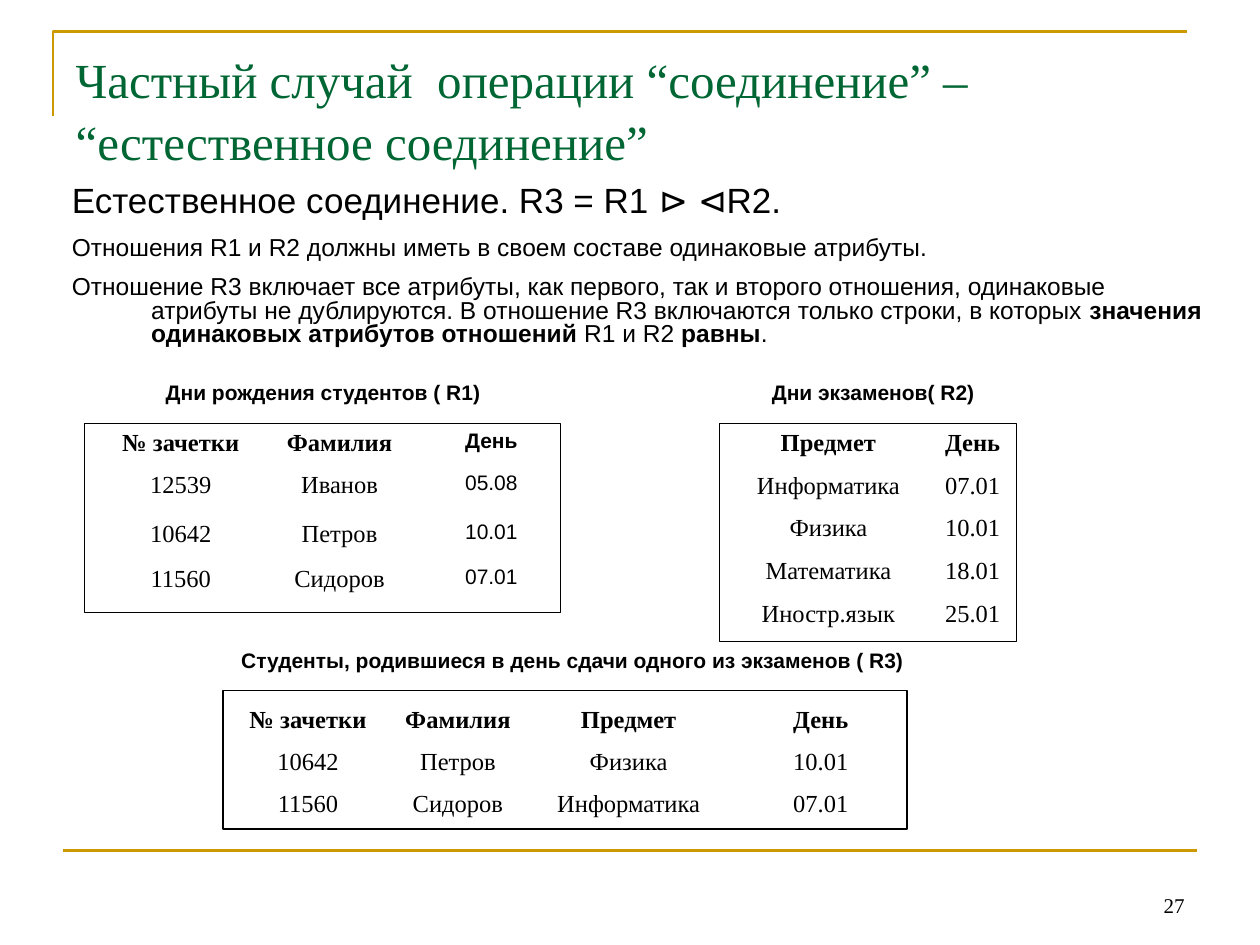
from lxml.etree import SubElement
from pptx import Presentation
from pptx.dml.color import RGBColor
from pptx.enum.shapes import MSO_CONNECTOR as Link, MSO_SHAPE as Shape
from pptx.enum.text import MSO_ANCHOR as Anchor, MSO_AUTO_SIZE as Fit, PP_ALIGN as Align
from pptx.oxml.ns import qn
from pptx.util import Inches, Pt

WIDE, HIGH = Inches(10), Inches(7.5)
GOLD, GREEN, BLACK = "CC9900", "006633", "000000"
SANS, SERIF = "Arial", "Times New Roman"

R1 = [["№ зачетки", "Фамилия", "День"],
      ["12539", "Иванов", "05.08"],
      ["10642", "Петров", "10.01"],
      ["11560", "Сидоров", "07.01"]]
R2 = [["Предмет", "День"],
      ["Информатика", "07.01"],
      ["Физика", "10.01"],
      ["Математика", "18.01"],
      ["Иностр.язык", "25.01"]]
R3 = [["№ зачетки", "Фамилия", "Предмет", "День"],
      ["10642", "Петров", "Физика", "10.01"],
      ["11560", "Сидоров", "Информатика", "07.01"]]

BODY = [
    (20, [("Естественное соединение. R3 = R1 ⊳ ⊲R2.", False)]),
    (14, [("Отношения R1 и R2 должны иметь в своем составе одинаковые атрибуты.", False)]),
    (14, [("Отношение R3 включает все атрибуты, как первого, так и второго отношения, "
           "одинаковые атрибуты не дублируются. В отношение R3 включаются только строки, "
           "в которых ", False),
          ("значения одинаковых атрибутов отношений ", True),
          ("R1 и R2 ", False), ("равны", True), (".", False)]),
]


def color(code):
    return RGBColor.from_string(code)


def across(share):
    """Percent of the slide's width."""
    return int(WIDE * share / 100)


def down(share):
    """Percent of the slide's height."""
    return int(HIGH * share / 100)


def area(x, y, w, h):
    return across(x), down(y), across(w), down(h)


def place(shape, spot):
    shape.left, shape.top, shape.width, shape.height = area(*spot)


def add_run(para, text, size, face, bold=False, code=BLACK):
    run = para.add_run()
    run.text = text
    font = run.font
    font.size, font.name, font.bold = Pt(size), face, bold
    font.color.rgb = color(code)


def stroke(line, code, width):
    line.color.rgb = color(code)
    line.width = Pt(width)


def add_rules(slide):
    """Draw the corner above the title and the line at the foot."""
    pen = slide.shapes.build_freeform(across(4.2), down(12.27))
    pen.add_line_segments([(across(4.2), down(3.33)), (across(94.2), down(3.33))], close=False)
    bend = pen.convert_to_shape()
    bend.fill.background()
    bend.shadow.inherit = False
    foot = slide.shapes.add_connector(Link.STRAIGHT, across(5), down(90), across(95), down(90))
    SubElement(foot.element.spPr, qn("a:effectLst"))
    for part in (bend, foot):
        stroke(part.line, GOLD, 1.5)


def fill_title(slide, text):
    title = slide.shapes.title
    place(title, (5, 4, 90.7, 12.4))
    frame = title.text_frame
    frame.auto_size, frame.vertical_anchor = Fit.NONE, Anchor.TOP
    frame.margin_top = Inches(0.07)
    para = frame.paragraphs[0]
    para.alignment, para.line_spacing = Align.LEFT, 1.05
    add_run(para, text, 28, SERIF, code=GREEN)


def fill_body(slide):
    body = slide.placeholders[1]
    place(body, (4.7, 18.8, 92.6, 20.93))
    frame = body.text_frame
    frame.auto_size, frame.vertical_anchor = Fit.NONE, Anchor.TOP
    frame.margin_top = Inches(0.07)
    for i, (size, runs) in enumerate(BODY):
        para = frame.add_paragraph() if i else frame.paragraphs[0]
        props = para._p.get_or_add_pPr()
        props.set("marL", str(Inches(0.63)))
        props.set("indent", str(-Inches(0.63)))
        SubElement(props, qn("a:buNone"))
        para.line_spacing = 0.8
        para.space_before = Pt(3.5 if i else 0)
        para.space_after = Pt(5.2 if i else 6.8)
        for text, bold in runs:
            add_run(para, text, size, SANS, bold)


def add_label(slide, spot, text, size=12, face=SANS, bold=True,
              align=Align.CENTER, anchor=Anchor.TOP):
    frame = slide.shapes.add_textbox(*area(*spot)).text_frame
    frame.word_wrap, frame.vertical_anchor = True, anchor
    para = frame.paragraphs[0]
    para.alignment = align
    add_run(para, text, size, face, bold)


def add_grid(slide, x, y, cols, rows, data, small=None):
    """Add a table; the column numbered small is set in 12 pt sans."""
    spot = area(x, y, sum(cols), sum(rows))
    table = slide.shapes.add_table(len(rows), len(cols), *spot).table
    table.first_row = table.horz_banding = False
    for col, share in zip(table.columns, cols):
        col.width = across(share)
    for r, (row, share) in enumerate(zip(table.rows, rows)):
        row.height = down(share)
        for c, cell in enumerate(row.cells):
            cell.fill.background()
            para = cell.text_frame.paragraphs[0]
            para.alignment = Align.CENTER
            size, face = (12, SANS) if c == small else (14, SERIF)
            add_run(para, data[r][c], size, face, bold=r == 0)


def add_frame(slide, spot):
    rect = slide.shapes.add_shape(Shape.RECTANGLE, *area(*spot))
    rect.shadow.inherit = False
    rect.fill.background()
    stroke(rect.line, BLACK, 0.75)


def main():
    deck = Presentation()
    deck.slide_width, deck.slide_height = WIDE, HIGH
    slide = deck.slides.add_slide(deck.slide_layouts[1])
    add_rules(slide)
    fill_title(slide, "Частный случай  операции “соединение” – “естественное соединение”")
    fill_body(slide)

    add_grid(slide, 8.3, 44.8, [12.1, 13.1, 11], [4.4, 5.2, 4.8, 4.67], R1, small=2)
    add_grid(slide, 57.9, 44.8, [15.7, 7.2], [4.53] * 5, R2)
    add_grid(slide, 18.5, 74.13, [11.9, 11.9, 15.2, 15.3], [4.43] * 3, R3)
    for spot in ((6.7, 44.8, 37.8, 20), (57.1, 44.8, 23.6, 23.07), (17.7, 73.07, 54.3, 14.67)):
        add_frame(slide, spot)

    add_label(slide, (8.3, 39.47, 34.7, 4), "Дни рождения студентов ( R1)")
    add_label(slide, (57.9, 39.47, 22.8, 4), "Дни экзаменов( R2)")
    add_label(slide, (16.7, 67.87, 57.5, 4),
              "Студенты, родившиеся в день сдачи одного из экзаменов ( R3)")
    add_label(slide, (71.7, 91.07, 23.3, 6.67), "27", face=SERIF, bold=False,
              align=Align.RIGHT, anchor=Anchor.BOTTOM)
    deck.save("out.pptx")


if __name__ == "__main__":
    main()
